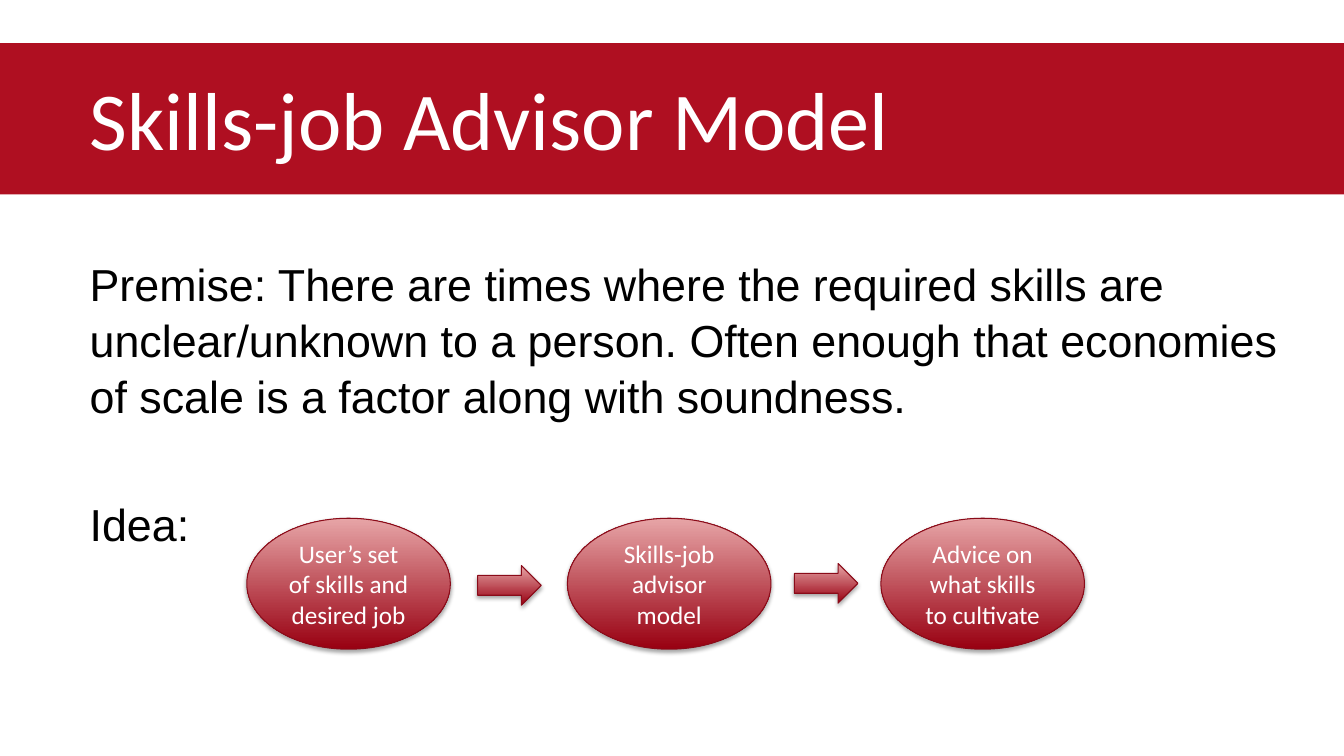
from dataclasses import dataclass

from lxml import etree
from pptx import Presentation
from pptx.dml.color import RGBColor
from pptx.enum.shapes import MSO_SHAPE
from pptx.enum.text import MSO_ANCHOR, PP_ALIGN
from pptx.oxml.ns import qn
from pptx.util import Cm, Pt

RECTANGLE = MSO_SHAPE.RECTANGLE
OVAL = MSO_SHAPE.OVAL
RIGHT_ARROW = MSO_SHAPE.RIGHT_ARROW
MIDDLE = MSO_ANCHOR.MIDDLE
TOP = MSO_ANCHOR.TOP
LEFT = PP_ALIGN.LEFT
CENTER = PP_ALIGN.CENTER


@dataclass(frozen=True)
class Theme:
    band: str = "AF0F21"
    dark: str = "980011"
    light: str = "E7A5A7"
    outline: str = "8A0B19"
    shadow: str = "000000"
    body_text: str = "000000"
    light_text: str = "FFFFFF"
    heading_font: str = "Calibri"
    body_font: str = "Arial"
    title_size: float = 58.7
    body_size: float = 32
    step_size: float = 18


@dataclass(frozen=True)
class Box:
    left: float
    top: float
    width: float
    height: float

    def lengths(self):
        return Cm(self.left), Cm(self.top), Cm(self.width), Cm(self.height)


THEME = Theme()
MARGIN = 2.01
TEXT_WIDTH = 30.48


def color(code):
    return RGBColor.from_string(code)


def write(para, words, font, size, code, align=LEFT):
    para.alignment = align
    span = para.add_run()
    span.text = words
    span.font.name = font
    span.font.size = Pt(size)
    span.font.color.rgb = color(code)


def add_text_frame(page, box, anchor):
    frame = page.shapes.add_textbox(*box.lengths()).text_frame
    frame.word_wrap = True
    frame.vertical_anchor = anchor
    return frame


def add_heading(page, box, words):
    band = page.shapes.add_shape(RECTANGLE, *box.lengths())
    band.shadow.inherit = False
    band.fill.solid()
    band.fill.fore_color.rgb = color(THEME.band)
    band.line.fill.background()
    title_box = Box(MARGIN, box.top + 0.46, TEXT_WIDTH, 2.84)
    frame = add_text_frame(page, title_box, MIDDLE)
    write(frame.paragraphs[0], words, THEME.heading_font, THEME.title_size, THEME.light_text)


def add_body(page, box, premise, idea):
    frame = add_text_frame(page, box, TOP)
    for para, words, gap in (
        (frame.paragraphs[0], premise, 6.4),
        (frame.add_paragraph(), idea, 51),
    ):
        para.space_before = Pt(gap)
        para.line_spacing = 1.04
        write(para, words, THEME.body_font, THEME.body_size, THEME.body_text)


def add_soft_shadow(shape):
    shape.shadow.inherit = False
    effects = shape._element.spPr.find(qn("a:effectLst"))
    outer = etree.SubElement(
        effects, qn("a:outerShdw"),
        blurRad=str(Pt(3.1)), dist=str(Pt(1.8)), dir="5400000", rotWithShape="0",
    )
    tint = etree.SubElement(outer, qn("a:srgbClr"), val=THEME.shadow)
    etree.SubElement(tint, qn("a:alpha"), val="35000")


def add_glossy_shape(page, kind, box):
    shape = page.shapes.add_shape(kind, *box.lengths())
    shape.fill.gradient()
    shape.fill.gradient_angle = 90
    for stop, code, position in zip(
        shape.fill.gradient_stops, (THEME.dark, THEME.light), (0, 1)
    ):
        stop.color.rgb = color(code)
        stop.position = position
    shape.line.color.rgb = color(THEME.outline)
    shape.line.width = Pt(0.75)
    add_soft_shadow(shape)
    return shape


def add_flow(page, box, steps, arrows):
    for offset, words in steps:
        step_box = Box(box.left + offset, box.top, 5.13, box.height)
        frame = add_glossy_shape(page, OVAL, step_box).text_frame
        frame.word_wrap = True
        frame.vertical_anchor = MIDDLE
        write(frame.paragraphs[0], words, THEME.heading_font, THEME.step_size,
              THEME.light_text, CENTER)
    for across, down in arrows:
        add_glossy_shape(page, RIGHT_ARROW, Box(box.left + across, box.top + down, 1.6, 1))


def main():
    deck = Presentation()
    deck.slide_width = Cm(33.87)
    deck.slide_height = Cm(19.05)
    page = deck.slides.add_slide(deck.slide_layouts[6])
    add_heading(page, Box(0, 1.09, 33.87, 3.81), "Skills-job Advisor Model")
    add_body(
        page, Box(MARGIN, 6.3, TEXT_WIDTH, 10.92),
        "Premise: There are times where the required skills are unclear/unknown to a person. "
        "Often enough that economies of scale is a factor along with soundness.",
        "Idea:",
    )
    add_flow(
        page, Box(6.22, 13.06, 21.11, 3.3),
        (
            (0, "User’s set of skills and desired job"),
            (8.08, "Skills-job advisor model"),
            (15.98, "Advice on what skills to cultivate"),
        ),
        ((5.82, 1.19), (13.8, 1.14)),
    )
    deck.save("out.pptx")


if __name__ == "__main__":
    main()
